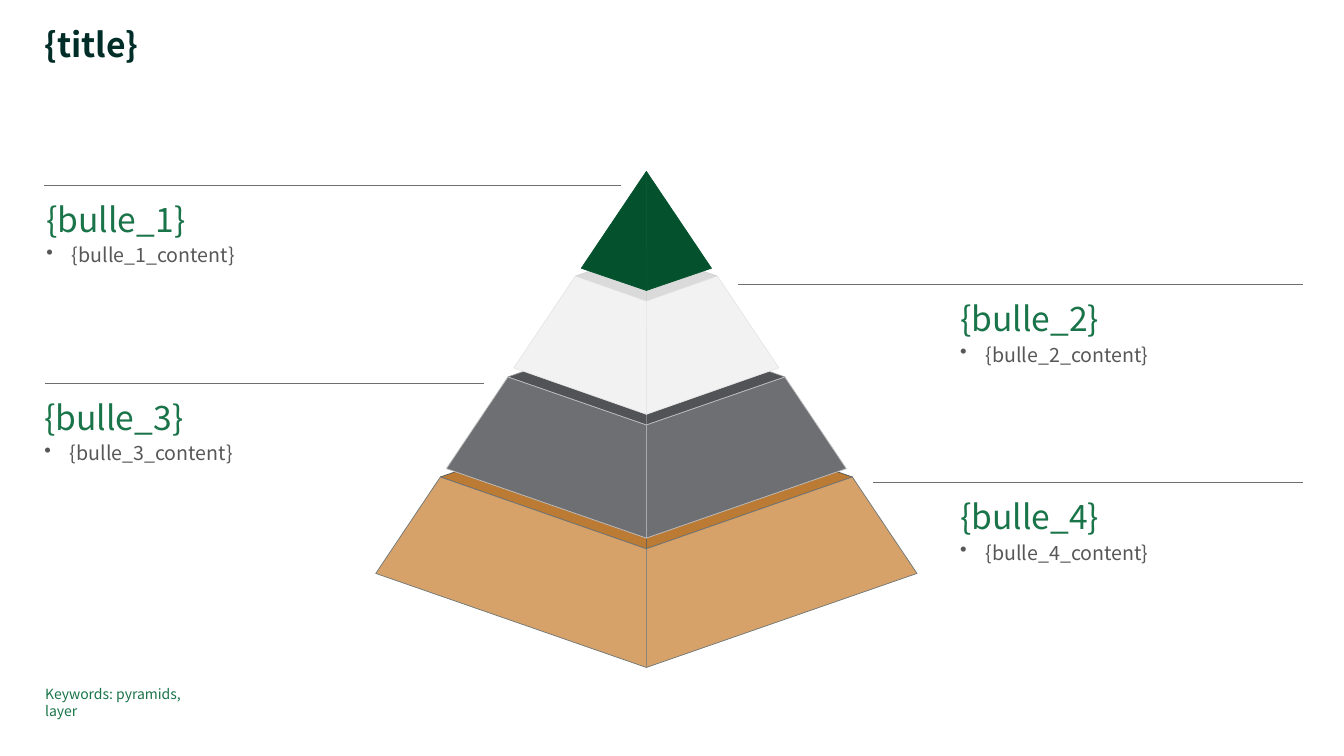
"""Build a slide with a four-layer pyramid and a callout for each layer."""
from lxml import etree
from pptx import Presentation
from pptx import util as u
from pptx.dml.color import RGBColor
from pptx.enum import shapes, text
from pptx.oxml.ns import qn

FONT = "Noto Sans CJK JP"
COLORS = {
    "title": "002D28", "heading": "1A7449", "body": "575757", "rule": "6E6F73",
    "base_lid": "BC7B34", "base_lid_edge": "545959", "base": "D6A26A", "base_edge": "707777",
    "dark_lid": "525356", "dark_lid_edge": "909090", "dark": "6E6F73", "dark_edge": "C0C0C0",
    "light_lid": "DADADA", "light_lid_edge": "D0CECE", "light": "F2F2F2", "light_edge": "E7E6E6",
    "tip": "03522D", "tip_edge": "03522D",
}
CENTER = 16.29


def add_face(group, points, color):
    """Draw one filled face from points given in cm."""
    (x, y), *rest = [(u.Cm(px), u.Cm(py)) for px, py in points]
    builder = group.shapes.build_freeform(x, y)
    builder.add_line_segments(rest, close=True)
    sp = builder.convert_to_shape()
    sp.shadow.inherit = False
    sp.fill.solid()
    sp.fill.fore_color.rgb = RGBColor.from_string(COLORS[color])
    sp.line.color.rgb = RGBColor.from_string(COLORS[color + "_edge"])
    sp.line.width = u.Pt(0.5)


def add_text(x, y, w, h, lines):
    """Add a text box without margins; lines hold text, size, colour and bold."""
    tf = s.shapes.add_textbox(u.Cm(x), u.Cm(y), u.Cm(w), u.Cm(h)).text_frame
    tf.word_wrap = True
    tf.vertical_anchor = text.MSO_ANCHOR.TOP
    tf.margin_left = tf.margin_right = tf.margin_top = tf.margin_bottom = 0
    tf.text = "\n".join(line[0] for line in lines)
    for p, (_, size, color, bold) in zip(tf.paragraphs, lines):
        r = p.runs[0]
        r.font.name = FONT
        r.font.size = u.Pt(size)
        r.font.bold = bold
        r.font.color.rgb = RGBColor.from_string(COLORS[color])
    return tf


prs = Presentation()
prs.slide_width, prs.slide_height = u.Cm(33.87), u.Cm(19.05)
s = prs.slides.add_slide(prs.slide_layouts[6])

tf = add_text(1.12, 0.71, 28.02, 0.94, [("{title}", 24, "title", True)])
tf.paragraphs[0].line_spacing = 0.9

# Each layer: name, lid (half width, back, side, front), bottom (half width, side, front)
layers = [
    ("base", (5.19, 10.21, 12.02, 13.83), (6.82, 14.45, 16.82)),
    ("dark", (3.49, 8.28, 9.5, 10.71), (5.04, 11.81, 13.56)),
    ("light", (1.79, 6.35, 6.96, 7.59), (3.34, 9.27, 10.44)),
    ("tip", (0, 4.32, 4.32, 4.32), (1.64, 6.76, 7.32)),
]
for name, (lid_half, back, lid_side, lid_front), (half, side, front) in layers:
    group = s.shapes.add_group_shape()
    if lid_half:
        for sign in (-1, 1):
            add_face(group, [(CENTER, back), (CENTER, lid_front),
                             (CENTER + sign * lid_half, lid_side)], name + "_lid")
    for sign in (-1, 1):
        points = [(CENTER, lid_front), (CENTER, front), (CENTER + sign * half, side)]
        if lid_half:
            points.append((CENTER + sign * lid_half, lid_side))
        add_face(group, points, name)

callouts = [
    ("bulle_1", 1.17, 1.12, 15.65, 4.67),
    ("bulle_2", 24.2, 18.6, 32.84, 7.17),
    ("bulle_3", 1.12, 1.14, 12.2, 9.66),
    ("bulle_4", 24.2, 22, 32.84, 12.16),
]
for name, x, rule_start, rule_end, rule_y in callouts:
    rule = s.shapes.add_connector(shapes.MSO_CONNECTOR.STRAIGHT, u.Cm(rule_start),
                                  u.Cm(rule_y), u.Cm(rule_end), u.Cm(rule_y))
    rule.line.color.rgb = RGBColor.from_string(COLORS["rule"])
    rule.line.width = u.Pt(0.75)
    etree.SubElement(rule._element.spPr, qn("a:effectLst"))

    tf = add_text(x, rule_y + 0.34, 8.6, 1.73,
                  [(f"{{{name}}}", 24, "heading", False),
                   (f"{{{name}_content}}", 14, "body", False)])
    p = tf.paragraphs[1]
    p.space_before = u.Pt(3)
    pPr = p._p.get_or_add_pPr()
    pPr.set("marL", str(u.Cm(0.64)))
    pPr.set("indent", str(-u.Cm(0.64)))
    bullet_color = etree.SubElement(pPr, qn("a:buClr"))
    etree.SubElement(bullet_color, qn("a:srgbClr"), val=COLORS["body"])
    etree.SubElement(pPr, qn("a:buChar"), char="•")

add_text(1.14, 17.27, 4.17, 0.43, [("Keywords: pyramids, layer", 10, "heading", False)])

prs.save("out.pptx")
